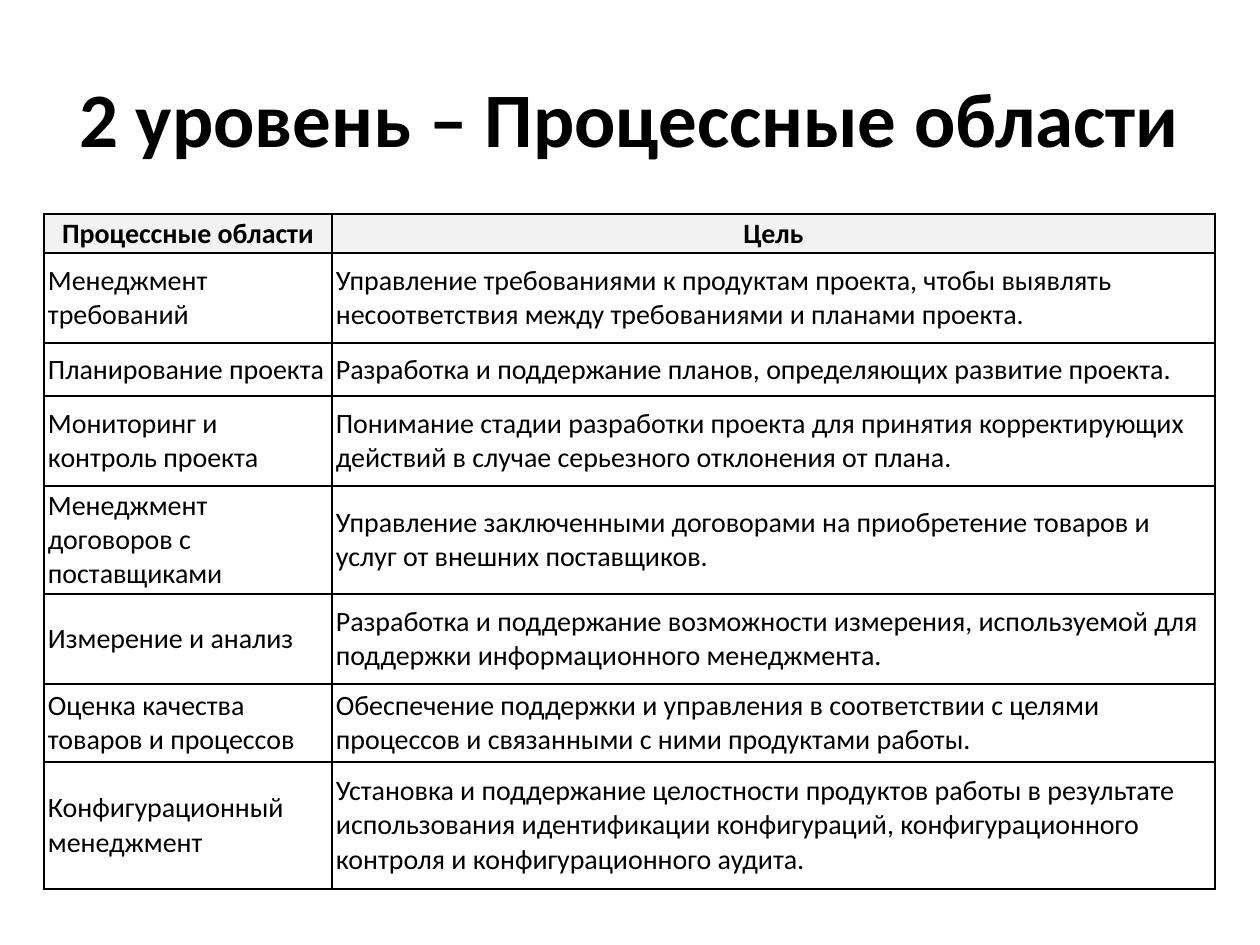
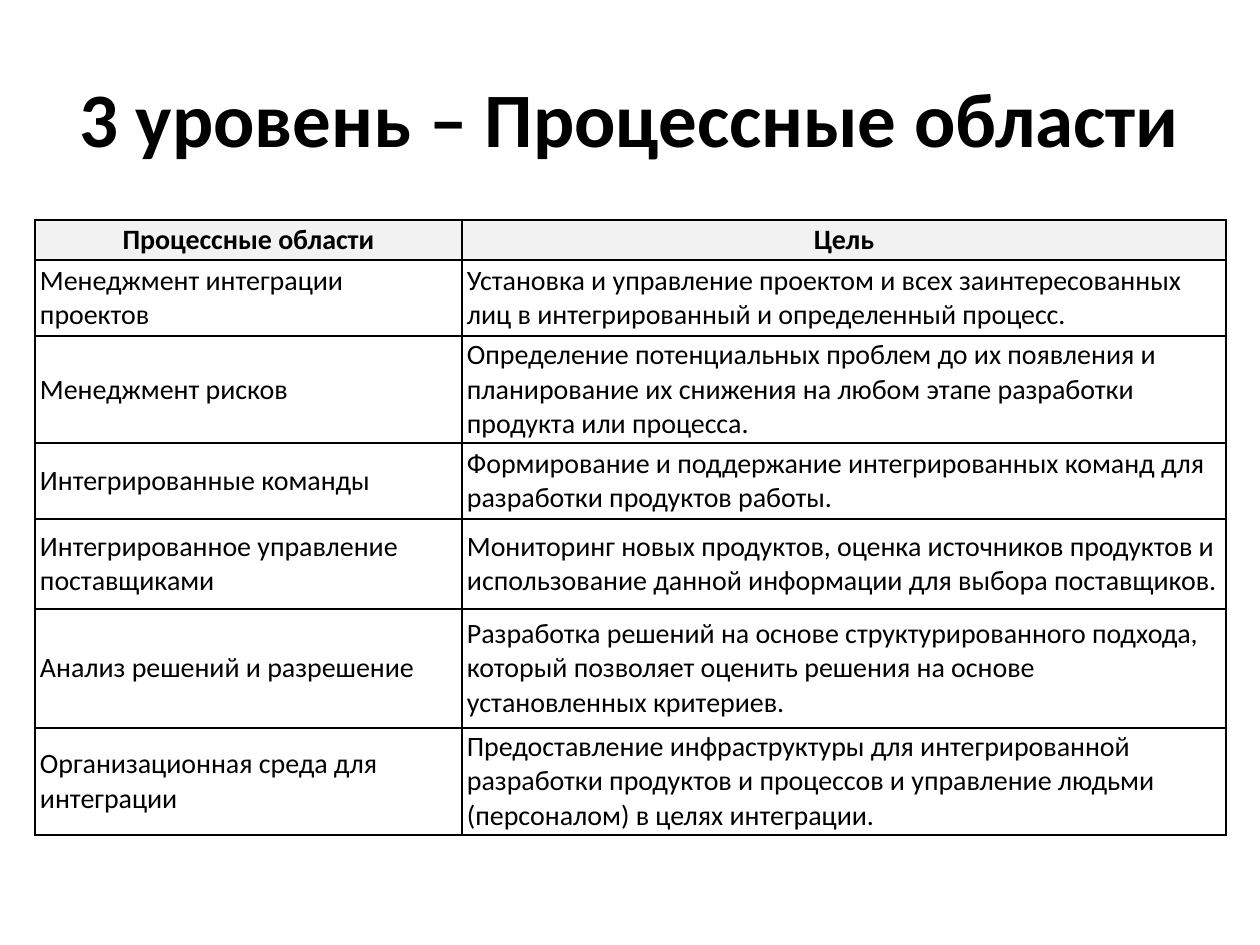
from lxml import etree
from pptx import Presentation, util as u
from pptx.dml.color import RGBColor
from pptx.enum import text as t
from pptx.oxml import ns

PX = 914400 / 126
FONT, BLACK, HEADER_FILL = "Calibri", "000000", "F2F2F2"
HEADER = ("Процессные области", "Цель")

# Each level: number, table left and top, column widths, side inset, header height,
# then rows of (height, process area, goal); all lengths in px.
LEVELS = [
    (2, 44, 214, (288, 883), 4, 39, [
        (90, "Менеджмент требований",
         "Управление требованиями к продуктам проекта, чтобы выявлять несоответствия "
         "между требованиями и планами проекта."),
        (53, "Планирование проекта",
         "Разработка и поддержание планов, определяющих развитие проекта."),
        (90, "Мониторинг и контроль проекта",
         "Понимание стадии разработки проекта для принятия корректирующих действий "
         "в случае серьезного отклонения от плана."),
        (108, "Менеджмент договоров с поставщиками",
         "Управление заключенными договорами на приобретение товаров и услуг "
         "от внешних поставщиков."),
        (90, "Измерение и анализ",
         "Разработка и поддержание возможности измерения, используемой для "
         "поддержки информационного менеджмента."),
        (78, "Оценка качества товаров и процессов",
         "Обеспечение поддержки и управления в соответствии с целями процессов "
         "и связанными с ними продуктами работы."),
        (127, "Конфигурационный менеджмент",
         "Установка и поддержание целостности продуктов работы в результате "
         "использования идентификации конфигураций, конфигурационного контроля "
         "и конфигурационного аудита."),
    ]),
    (3, 35, 220, (427, 764), 5, 40, [
        (76, "Менеджмент интеграции проектов",
         "Установка и управление проектом и всех заинтересованных лиц "
         "в интегрированный и определенный процесс."),
        (107, "Менеджмент рисков",
         "Определение потенциальных проблем до их появления и планирование "
         "их снижения на любом этапе разработки продукта или процесса."),
        (76, "Интегрированные команды",
         "Формирование и поддержание интегрированных команд для разработки "
         "продуктов работы."),
        (90, "Интегрированное управление поставщиками",
         "Мониторинг новых продуктов, оценка источников продуктов и использование "
         "данной информации для выбора поставщиков."),
        (119, "Анализ решений и разрешение",
         "Разработка решений на основе структурированного подхода, который "
         "позволяет оценить решения на основе установленных критериев."),
        (107, "Организационная среда для интеграции",
         "Предоставление инфраструктуры для интегрированной разработки продуктов "
         "и процессов и управление людьми (персоналом) в целях интеграции."),
    ]),
]


def write(frame, content, size=16, bold=False, align=t.PP_ALIGN.LEFT, color=BLACK):
    paragraph = frame.paragraphs[0]
    paragraph.alignment = align
    run = paragraph.add_run()
    run.text = content
    run.font.name, run.font.size, run.font.bold = FONT, u.Pt(size), bold
    run.font.color.rgb = RGBColor.from_string(color)


def add_borders(cell, color=BLACK, points=1):
    properties = cell._tc.get_or_add_tcPr()
    for side in ("lnL", "lnR", "lnT", "lnB"):
        line = etree.SubElement(properties, ns.qn(f"a:{side}"), w=str(u.Pt(points)))
        fill = etree.SubElement(line, ns.qn("a:solidFill"))
        etree.SubElement(fill, ns.qn("a:srgbClr"), val=color)


presentation = Presentation()
presentation.slide_width, presentation.slide_height = u.Inches(10), u.Inches(7.5)
title_only = presentation.slide_layouts[5]

for level, left, top, widths, inset, header_height, areas in LEVELS:
    slide = presentation.slides.add_slide(title_only)
    title = slide.shapes.title
    title.left, title.top, title.width, title.height = (
        round(length * PX) for length in (63, 38, 1134, 157))
    title.text_frame.vertical_anchor = t.MSO_ANCHOR.MIDDLE
    write(title.text_frame, f"{level} уровень – Процессные области",
          size=44, bold=True, align=t.PP_ALIGN.CENTER)

    rows = [(header_height, *HEADER)] + areas
    total_height = sum(row[0] for row in rows)
    table = slide.shapes.add_table(
        len(rows), len(widths),
        *(round(length * PX) for length in (left, top, sum(widths), total_height))).table
    table.horz_banding = False
    for column, width in zip(table.columns, widths):
        column.width = round(width * PX)

    for index, (height, *contents) in enumerate(rows):
        table.rows[index].height = round(height * PX)
        is_header = index == 0
        for cell, content in zip(table.rows[index].cells, contents):
            cell.margin_left = cell.margin_right = round(inset * PX)
            cell.margin_top = cell.margin_bottom = round(2 * PX)
            cell.vertical_anchor = t.MSO_ANCHOR.MIDDLE
            add_borders(cell)
            if is_header:
                cell.fill.solid()
                cell.fill.fore_color.rgb = RGBColor.from_string(HEADER_FILL)
            else:
                cell.fill.background()
            write(cell.text_frame, content, bold=is_header,
                  align=t.PP_ALIGN.CENTER if is_header else t.PP_ALIGN.LEFT)

presentation.save("out.pptx")
